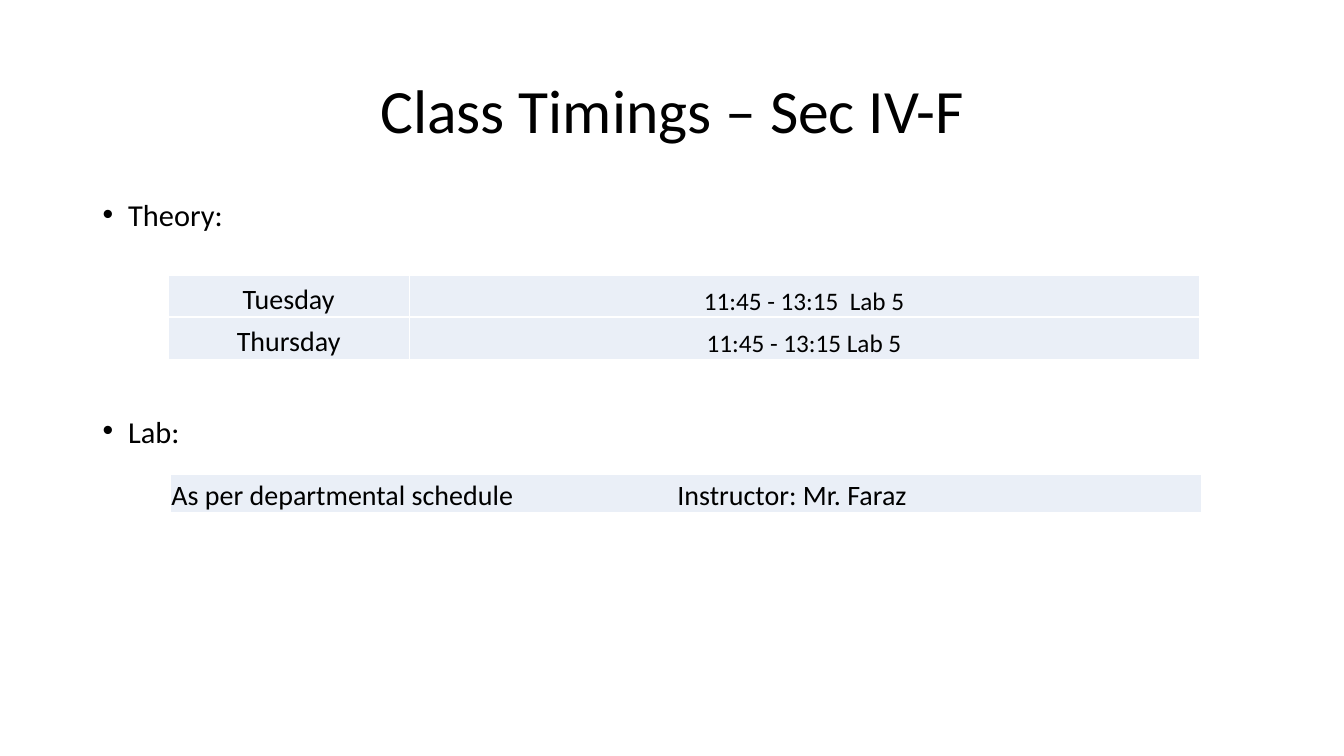
from dataclasses import dataclass

from lxml.etree import SubElement
from pptx import Presentation
from pptx.dml.color import RGBColor
from pptx.enum.text import MSO_ANCHOR, PP_ALIGN
from pptx.oxml.ns import qn
from pptx.slide import Slide
from pptx.table import _Cell
from pptx.text.text import _Paragraph
from pptx.util import Cm, Pt

COLOURS = {"text": "000000", "band": "EAEFF7", "border": "FFFFFF"}
FONT = "Calibri"
MARGIN_LEFT = 2.34
CONTENT_WIDTH = 29.21
INSTRUCTOR_TAB = 12.75


@dataclass
class Heading:
    text: str
    top: float


@dataclass
class CellText:
    text: str
    size: float
    align: PP_ALIGN = PP_ALIGN.CENTER


@dataclass
class Schedule:
    left: float
    top: float
    widths: list[float]
    row_height: float
    rows: list[list[CellText]]


HEADINGS = [Heading("Theory:", 5.08), Heading("Lab:", 10.54)]
SCHEDULES = [
    Schedule(4.24, 6.93, [6.07, 19.91], 1.06, [
        [CellText("Tuesday", 20), CellText("11:45 - 13:15  Lab 5", 18)],
        [CellText("Thursday", 20), CellText("11:45 - 13:15 Lab 5", 18)],
    ]),
    Schedule(4.29, 11.96, [25.98], 0.96, [
        [CellText("As per departmental schedule\tInstructor: Mr. Faraz", 20, PP_ALIGN.LEFT)],
    ]),
]


def add_span(para: _Paragraph, text: str, size: float) -> None:
    span = para.add_run()
    span.text = text
    span.font.name = FONT
    span.font.size = Pt(size)
    span.font.color.rgb = RGBColor.from_string(COLOURS["text"])


def add_title(page: Slide, text: str) -> None:
    title = page.shapes.title
    title.left, title.top = Cm(MARGIN_LEFT), Cm(1.02)
    title.width, title.height = Cm(CONTENT_WIDTH), Cm(3.68)
    title.text_frame.vertical_anchor = MSO_ANCHOR.MIDDLE
    para = title.text_frame.paragraphs[0]
    para.alignment = PP_ALIGN.CENTER
    para.line_spacing = 0.9
    add_span(para, text, 44)


def add_heading(page: Slide, heading: Heading) -> None:
    box = page.shapes.add_textbox(Cm(MARGIN_LEFT), Cm(heading.top), Cm(CONTENT_WIDTH), Cm(0.99))
    box.text_frame.word_wrap = True
    para = box.text_frame.paragraphs[0]
    para.line_spacing = 0.7
    para.space_before = Pt(10)
    properties = para._p.get_or_add_pPr()
    properties.set("marL", str(Cm(0.64)))
    properties.set("indent", str(-Cm(0.64)))
    SubElement(properties, qn("a:buFont"), typeface="Arial")
    SubElement(properties, qn("a:buChar"), char="•")
    add_span(para, heading.text, 21.7)


def style_cell(cell: _Cell) -> None:
    cell.vertical_anchor = MSO_ANCHOR.BOTTOM
    cell.margin_left = cell.margin_right = cell.margin_top = Cm(0.03)
    cell.margin_bottom = Cm(0)
    properties = cell._tc.get_or_add_tcPr()
    # Borders come before the fill
    for side in ("a:lnL", "a:lnR", "a:lnT", "a:lnB"):
        line = SubElement(properties, qn(side), w=str(Pt(1)))
        fill = SubElement(line, qn("a:solidFill"))
        SubElement(fill, qn("a:srgbClr"), val=COLOURS["border"])
    cell.fill.solid()
    cell.fill.fore_color.rgb = RGBColor.from_string(COLOURS["band"])


def fill_cell(cell: _Cell, content: CellText) -> None:
    style_cell(cell)
    para = cell.text_frame.paragraphs[0]
    para.alignment = content.align
    if "\t" in content.text:
        tabs = SubElement(para._p.get_or_add_pPr(), qn("a:tabLst"))
        SubElement(tabs, qn("a:tab"), pos=str(Cm(INSTRUCTOR_TAB)), algn="l")
    add_span(para, content.text, content.size)


def add_schedule(page: Slide, schedule: Schedule) -> None:
    table = page.shapes.add_table(
        len(schedule.rows), len(schedule.widths), Cm(schedule.left), Cm(schedule.top),
        Cm(sum(schedule.widths)), Cm(schedule.row_height * len(schedule.rows))).table
    table.first_row = table.horz_banding = False
    for column, width in zip(table.columns, schedule.widths):
        column.width = Cm(width)
    for row, contents in zip(table.rows, schedule.rows):
        row.height = Cm(schedule.row_height)
        for cell, content in zip(row.cells, contents):
            fill_cell(cell, content)


def main() -> None:
    deck = Presentation()
    deck.slide_width, deck.slide_height = Cm(33.87), Cm(19.05)
    page = deck.slides.add_slide(deck.slide_layouts[5])

    # Title
    add_title(page, "Class Timings – Sec IV-F")

    # Bulleted headings
    for heading in HEADINGS:
        add_heading(page, heading)

    # Theory and lab tables
    for schedule in SCHEDULES:
        add_schedule(page, schedule)

    deck.save("out.pptx")


if __name__ == "__main__":
    main()
